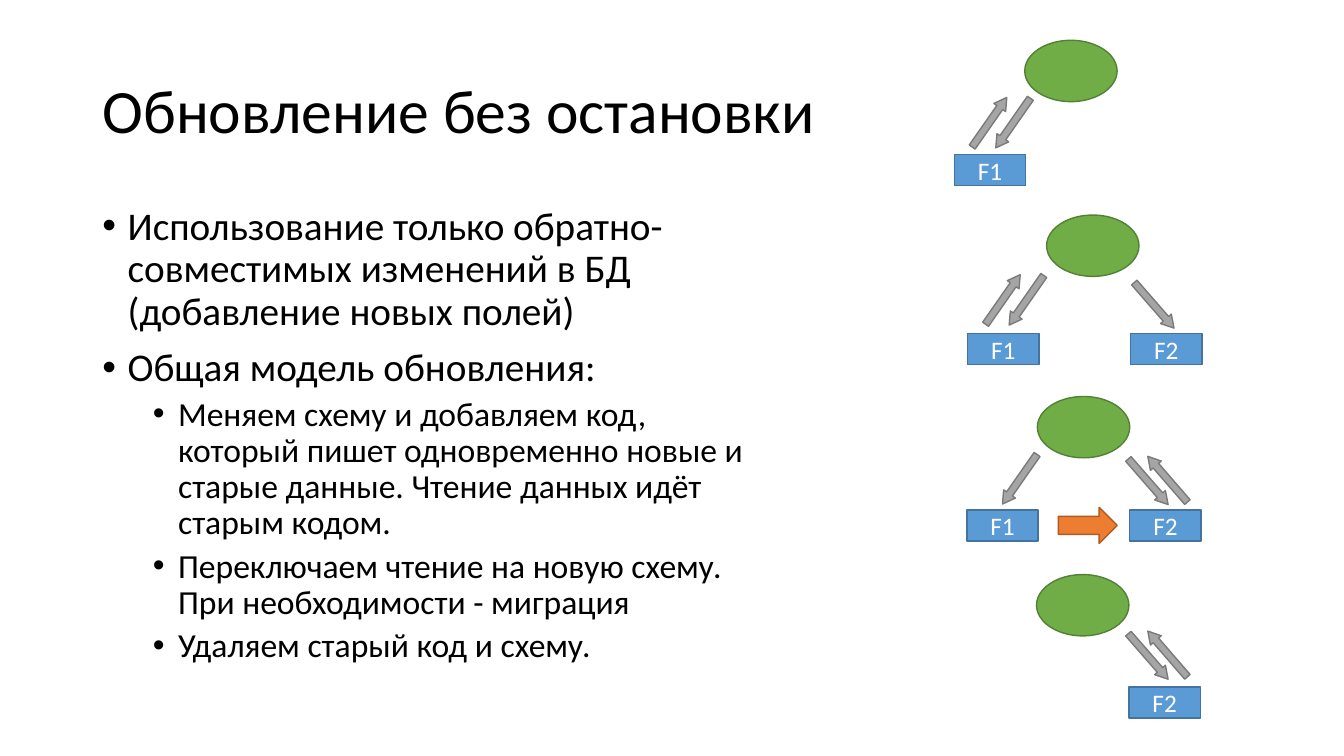
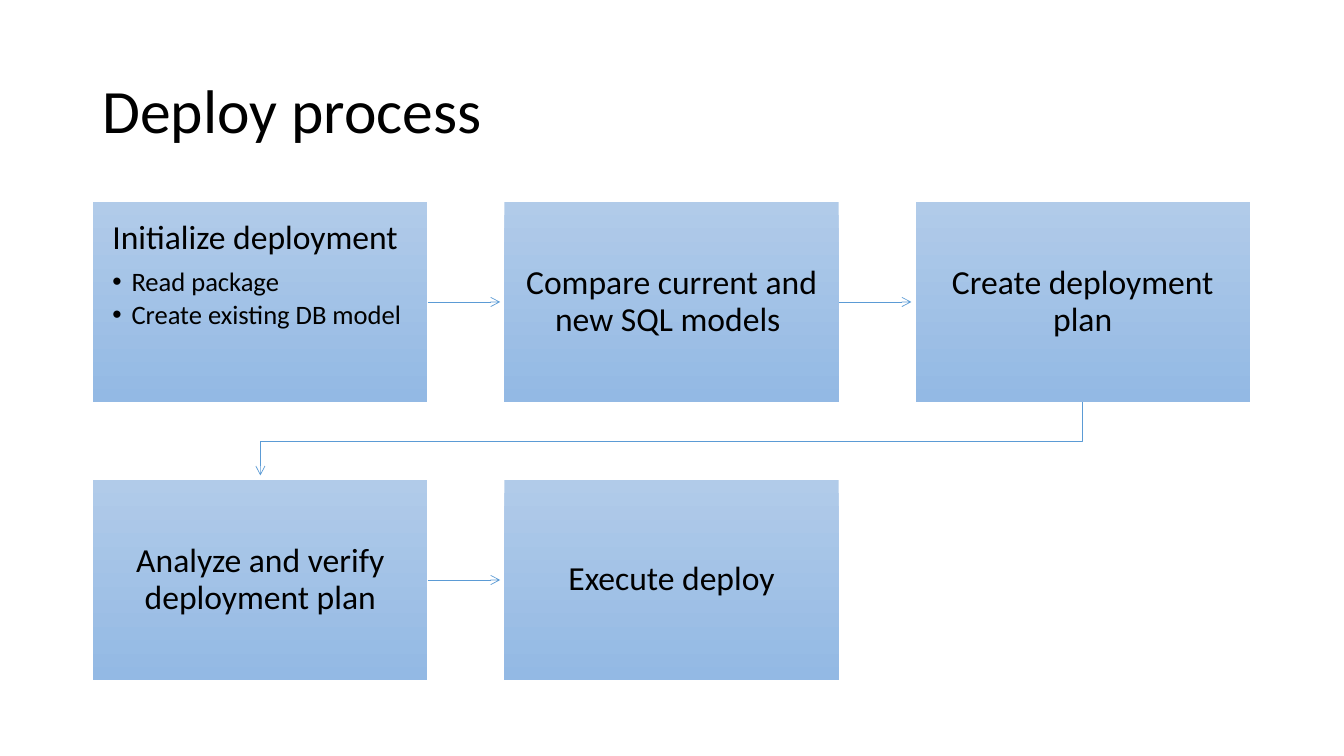
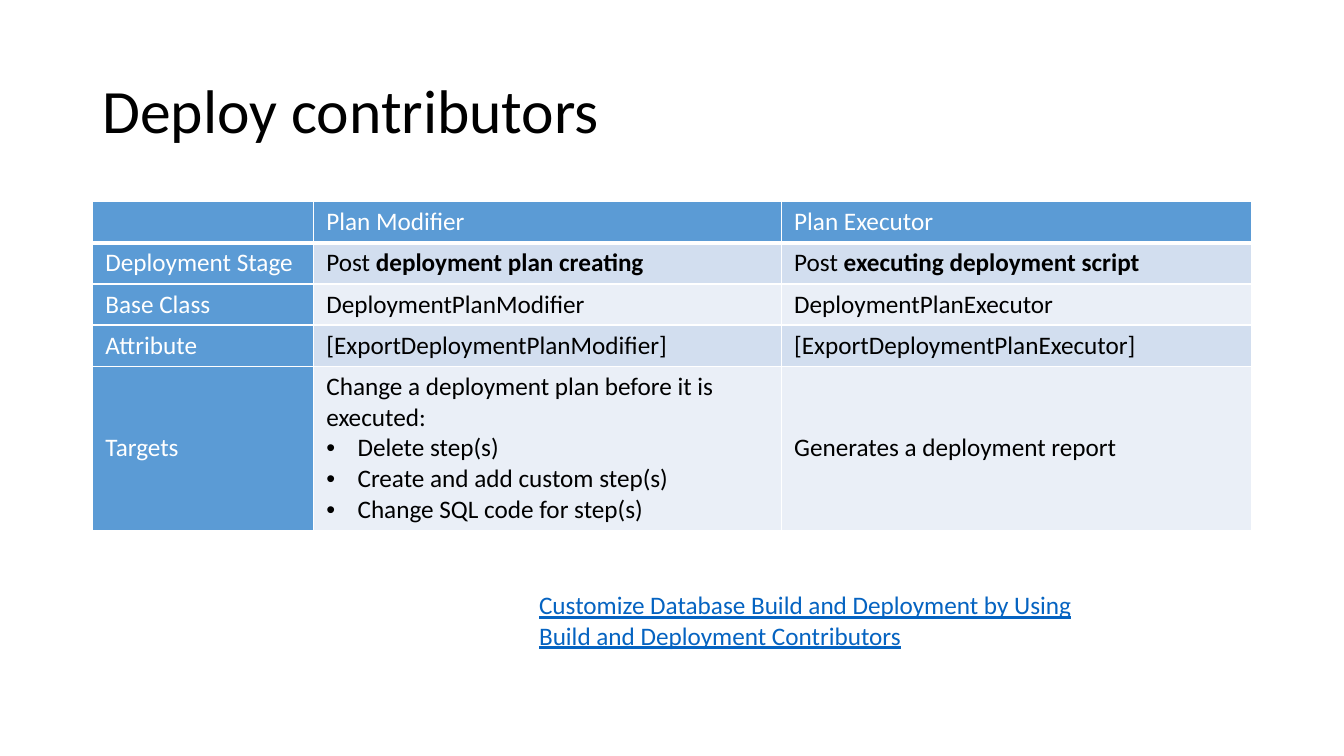
from lxml.etree import SubElement
from pptx import Presentation
from pptx.dml.color import RGBColor
from pptx.enum.shapes import MSO_CONNECTOR, MSO_SHAPE as SHAPE
from pptx.enum.text import MSO_ANCHOR as ANCHOR, MSO_AUTO_SIZE as AUTOSIZE, PP_ALIGN as ALIGN
from pptx.oxml.ns import qn
from pptx.util import Emu, Inches, Pt

# Grid: the slide is 160 columns by 90 rows of square cells
CELL = Pt(6)
COLUMNS, ROWS = 160, 90
LEFT, TOP, WIDTH = 11, 24, 138

# Shared look
FONT = "Calibri"
BLACK = RGBColor(0x00, 0x00, 0x00)
WHITE = RGBColor(0xFF, 0xFF, 0xFF)
BLUE = RGBColor(0x5B, 0x9B, 0xD5)
BLUE_EDGE = RGBColor(0x43, 0x73, 0x9E)
GREEN = RGBColor(0x70, 0xAD, 0x47)
GREEN_EDGE = RGBColor(0x53, 0x80, 0x35)
GRAY = RGBColor(0xA5, 0xA5, 0xA5)
GRAY_EDGE = RGBColor(0x7A, 0x7A, 0x7A)
ORANGE = RGBColor(0xED, 0x7D, 0x31)
ORANGE_EDGE = RGBColor(0xAF, 0x5C, 0x24)
STEP_TOP = RGBColor(0xB1, 0xCB, 0xE9)
STEP_BOTTOM = RGBColor(0x93, 0xB9, 0xE4)
BAND_DARK = RGBColor(0xD2, 0xDE, 0xEF)
BAND_LIGHT = RGBColor(0xEA, 0xEF, 0xF7)
LINK = RGBColor(0x05, 0x63, 0xC1)


def cells(*lengths):
    """Turn grid lengths into slide units."""
    return [Emu(round(length * CELL)) for length in lengths]


def write(para, text, size, color=BLACK, bold=False, bullet=None):
    """Add one run; bullet gives the text indent and the hanging part in inches."""
    span = para.add_run()
    span.text = text
    span.font.name, span.font.size = FONT, Pt(size)
    span.font.bold, span.font.color.rgb = bold, color
    if bullet:
        props = para._p.get_or_add_pPr()
        props.set("marL", str(Inches(bullet[0])))
        props.set("indent", str(-Inches(bullet[1])))
        SubElement(props, qn("a:buFont"), typeface="Arial")
        SubElement(props, qn("a:buChar"), char="•")
    return span


deck = Presentation()
deck.slide_width, deck.slide_height = cells(COLUMNS, ROWS)

# Pages and titles: layout 1 has a body, layout 5 is title only
pages = []
for heading, layout in [("Обновление без остановки", 1),
                        ("Deploy process", 5),
                        ("Deploy contributors", 5)]:
    page = deck.slides.add_slide(deck.slide_layouts[layout])
    title = page.shapes.title
    title.left, title.top, title.width, title.height = cells(LEFT, 4.8, WIDTH, 17.4)
    title.text_frame.auto_size = AUTOSIZE.NONE
    title.text_frame.vertical_anchor = ANCHOR.MIDDLE
    para = title.text_frame.paragraphs[0]
    para.alignment, para.line_spacing = ALIGN.LEFT, 0.9
    write(para, heading, 44)
    pages.append(page)
update_page, process_page, contributors_page = pages

# Update: body text
body = update_page.placeholders[1]
body.left, body.top, body.width, body.height = cells(LEFT, TOP, 80.3, 57.1)
frame = body.text_frame
frame.auto_size = AUTOSIZE.NONE
points = [
    (0, "Использование только обратно-совместимых изменений в БД (добавление новых полей)"),
    (0, "Общая модель обновления:"),
    (1, "Меняем схему и добавляем код, который пишет одновременно новые и старые данные. "
        "Чтение данных идёт старым кодом."),
    (1, "Переключаем чтение на новую схему. При необходимости - миграция"),
    (1, "Удаляем старый код и схему."),
]
for index, (level, text) in enumerate(points):
    para = frame.add_paragraph() if index else frame.paragraphs[0]
    para.level, para.line_spacing = level, 0.9
    para.space_before = Pt(5 if level else 10)
    write(para, text, 24 if level else 28, bullet=(0.75 if level else 0.25, 0.25))

# Update: four stages, each part is kind, column, row, then turn or label
PARTS = {
    "app": (SHAPE.OVAL, 11, 7.3, GREEN, GREEN_EDGE),
    "schema": (SHAPE.RECTANGLE, 8.5, 3.7, BLUE, BLUE_EDGE),
    "flow": (SHAPE.RIGHT_ARROW, 7.2, 1.7, GRAY, GRAY_EDGE),
    "migration": (SHAPE.RIGHT_ARROW, 7, 4.3, ORANGE, ORANGE_EDGE),
}
READ_OLD, WRITE_OLD, READ_NEW, WRITE_NEW = 304.9, 124.9, 229.1, 48.9
stages = [
    [("schema", 113.6, 18.4, "F1"), ("app", 122, 4.8, None),
     ("flow", 114.2, 13.7, READ_OLD), ("flow", 117, 13.8, WRITE_OLD)],
    [("schema", 115.2, 39.7, "F1"), ("schema", 134.6, 39.7, "F2"), ("app", 124.6, 25.6, None),
     ("flow", 115.8, 34.8, READ_OLD), ("flow", 118.6, 34.9, WRITE_OLD),
     ("flow", 133.8, 35.5, WRITE_NEW)],
    [("schema", 115.1, 60.7, "F1"), ("schema", 134.5, 60.7, "F2"), ("app", 123.5, 47.2, None),
     ("flow", 135.4, 56.2, READ_NEW), ("flow", 117.8, 56.2, WRITE_OLD),
     ("flow", 133.1, 56.5, WRITE_NEW), ("migration", 126, 60.4, None)],
    [("schema", 134.4, 81.8, "F2"), ("app", 123.4, 68.4, None),
     ("flow", 135.4, 77, READ_NEW), ("flow", 133.1, 77.3, WRITE_NEW)],
]
for stage in stages:
    group = update_page.shapes.add_group_shape()
    for kind, column, row, detail in stage:
        preset, width, height, fill, edge = PARTS[kind]
        part = group.shapes.add_shape(preset, *cells(column, row, width, height))
        part.shadow.inherit = False
        part.fill.solid()
        part.fill.fore_color.rgb = fill
        part.line.color.rgb, part.line.width = edge, Pt(1)
        if kind == "flow":
            part.rotation = detail
            part.adjustments[0], part.adjustments[1] = 0.5, 0.86
        elif kind == "schema":
            para = part.text_frame.paragraphs[0]
            para.alignment = ALIGN.CENTER
            write(para, detail, 18, WHITE)

# Process: steps on a grid three wide
STEP_WIDTH, STEP_HEIGHT, PITCH_X, PITCH_Y = 39.8, 23.9, 48.95, 33.1
steps = [
    ["Initialize deployment", "Read package", "Create existing DB model"],
    ["Compare current and new SQL models "],
    ["Create deployment plan"],
    ["Analyze and verify deployment plan"],
    ["Execute deploy"],
]
boxes = []
for index, lines in enumerate(steps):
    row, column = divmod(index, 3)
    box = process_page.shapes.add_shape(SHAPE.RECTANGLE, *cells(
        LEFT + 0.1 + column * PITCH_X, TOP + row * PITCH_Y, STEP_WIDTH, STEP_HEIGHT))
    box.shadow.inherit = False
    box.line.fill.background()
    box.fill.gradient()
    box.fill.gradient_angle = 270
    for stop, color in zip(box.fill.gradient_stops, (STEP_TOP, STEP_BOTTOM)):
        stop.color.rgb = color
    frame = box.text_frame
    frame.word_wrap = True
    frame.margin_left = frame.margin_right = frame.margin_top = frame.margin_bottom = Inches(0.19)
    detailed = len(lines) > 1
    frame.vertical_anchor = ANCHOR.TOP if detailed else ANCHOR.MIDDLE
    for place, text in enumerate(lines):
        para = frame.add_paragraph() if place else frame.paragraphs[0]
        para.alignment = ALIGN.LEFT if detailed else ALIGN.CENTER
        para.line_spacing = 0.9
        if detailed:
            para.space_after = Pt(3 if place else 8.4)
        if place:
            para.level = 1
            write(para, text, 19, bullet=(0.19, 0.19))
        else:
            write(para, text, 24)
    boxes.append(box)

# Process: arrows stop half a cell before the next step
arrows = []
gap = CELL // 2
for start, end in zip(boxes, boxes[1:]):
    if start.top == end.top:
        middle = start.top + start.height // 2
        arrow = process_page.shapes.add_connector(
            MSO_CONNECTOR.STRAIGHT, start.left + start.width, middle, end.left - gap, middle)
        arrow.begin_connect(start, 3)
    else:
        from_x, to_x = (box.left + box.width // 2 for box in (start, end))
        bottom = start.top + start.height
        bend = (bottom + end.top) // 2
        outline = process_page.shapes.build_freeform(from_x, bottom)
        outline.add_line_segments(
            [(from_x, bend), (to_x, bend), (to_x, end.top - gap)], close=False)
        arrow = outline.convert_to_shape()
        arrow.fill.background()
    arrows.append(arrow)
for arrow in arrows:
    arrow.line.color.rgb, arrow.line.width = BLUE, Pt(0.5)
    props = arrow.element.spPr
    SubElement(props.find(qn("a:ln")), qn("a:tailEnd"), type="arrow")
    SubElement(props, qn("a:effectLst"))

# Contributors: table; each cell lists paragraphs, "*" marks bold and "•" a bullet
rows = [
    [[], ["Plan Modifier"], ["Plan Executor"]],
    [["Deployment Stage"], ["Post *deployment plan creating"],
     ["Post *executing deployment script"]],
    [["Base Class"], ["DeploymentPlanModifier"], ["DeploymentPlanExecutor"]],
    [["Attribute"], ["[ExportDeploymentPlanModifier]"], ["[ExportDeploymentPlanExecutor]"]],
    [["Targets"],
     ["Change a deployment plan before it is executed:", "•Delete step(s)",
      "•Create and add custom step(s)", "•Change SQL code for step(s)"],
     ["Generates a deployment report"]],
]
column_widths = cells(26.3, 55.7, 56)
row_heights = cells(4.9, 4.9, 4.9, 4.9, 19.4)
table = contributors_page.shapes.add_table(
    len(rows), len(column_widths), *cells(LEFT, TOP, WIDTH, 39)).table
for column, width in zip(table.columns, column_widths):
    column.width = width
for row, height in zip(table.rows, row_heights):
    row.height = height
for r, row in enumerate(rows):
    for c, lines in enumerate(row):
        cell = table.cell(r, c)
        cell.vertical_anchor = ANCHOR.MIDDLE
        cell.margin_left = cell.margin_right = Inches(0.13)
        cell.margin_top = cell.margin_bottom = Inches(0.05)
        for side in ("L", "R", "T", "B"):
            thickness = 3 if r == 0 and side == "B" else 1
            edge = SubElement(cell._tc.get_or_add_tcPr(), qn("a:ln" + side),
                              w=str(Pt(thickness)))
            SubElement(SubElement(edge, qn("a:solidFill")), qn("a:srgbClr"), val=str(WHITE))
        is_header = r == 0 or c == 0
        cell.fill.solid()
        cell.fill.fore_color.rgb = BLUE if is_header else BAND_DARK if r % 2 else BAND_LIGHT
        for place, text in enumerate(lines):
            para = cell.text_frame.add_paragraph() if place else cell.text_frame.paragraphs[0]
            bullet = (0.31, 0.31) if text.startswith("•") else None
            for part, words in enumerate(text.lstrip("•").split("*")):
                write(para, words, 18, WHITE if is_header else BLACK, part == 1, bullet)

# Contributors: reference line
reference = contributors_page.shapes.add_textbox(*cells(63, 69.6, 72, 8.5))
reference.text_frame.word_wrap = True
span = write(reference.text_frame.paragraphs[0],
             "Customize Database Build and Deployment by Using "
             "Build and Deployment Contributors", 18, LINK)
span.font.underline = True

deck.save("out.pptx")
